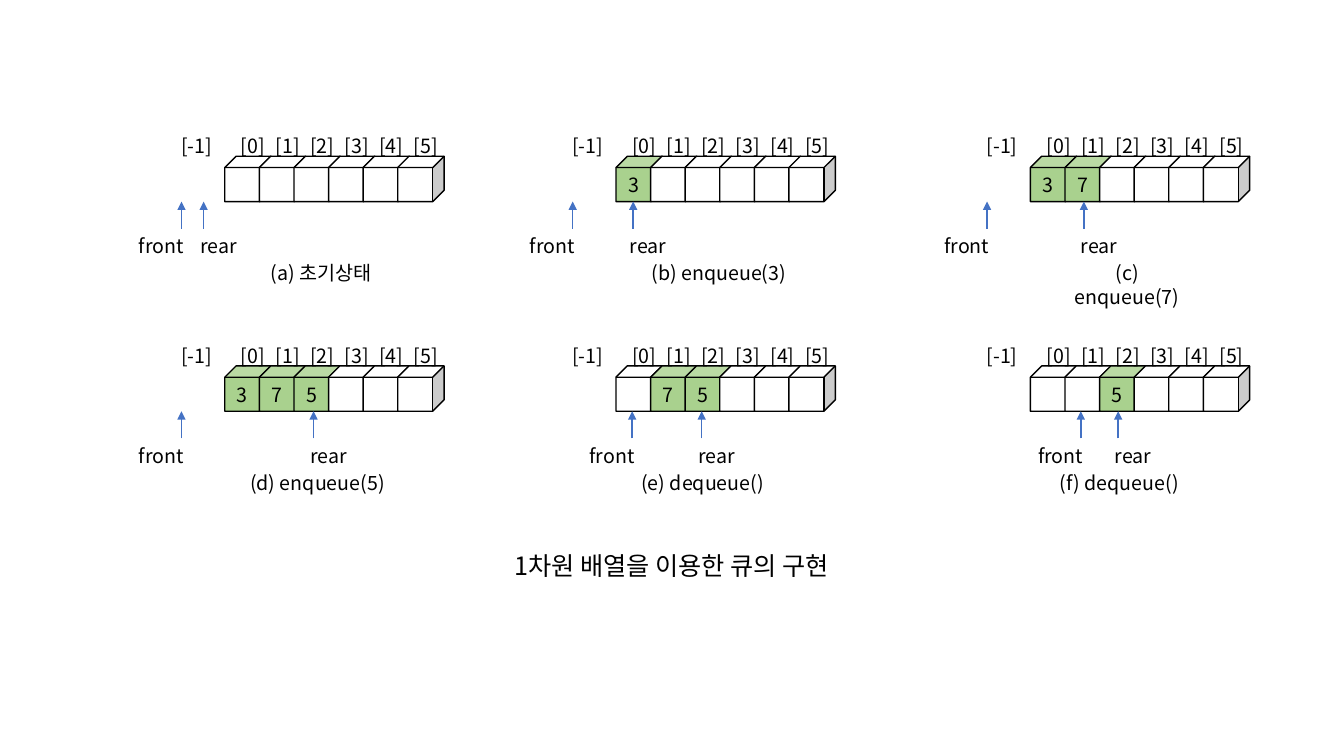
from lxml.etree import SubElement
from pptx import Presentation
from pptx.dml.color import RGBColor
from pptx.enum.shapes import MSO_CONNECTOR, MSO_SHAPE
from pptx.enum.text import MSO_ANCHOR, PP_ALIGN
from pptx.oxml.ns import qn
from pptx.util import Inches, Pt

FONT = "Noto Sans CJK KR"
COLORS = {"ink": "000000", "empty": "FFFFFF", "filled": "A9D18E", "arrow": "4472C4"}
CELLS = 6
STEP = 0.343    # distance between neighbouring cells
INDEX_W = 0.56
ROW_H = 0.34
LABEL_W = 1.26


def color(name):
    """Return the named colour."""
    return RGBColor.from_string(COLORS[name])


def write(tf, text, size=14, fill="ink", anchor=MSO_ANCHOR.TOP):
    """Write one centred line of text into a text frame."""
    tf.word_wrap = True
    tf.vertical_anchor = anchor
    p = tf.paragraphs[0]
    p.alignment = PP_ALIGN.CENTER
    r = p.add_run()
    r.text = text
    r.font.size = Pt(size)
    r.font.name = FONT
    r.font.color.rgb = color(fill)
    SubElement(r.font._element, qn("a:ea")).set("typeface", FONT)


def add_label(slide, text, center, top, width, height=ROW_H, **fmt):
    """Add a text box centred on a horizontal position."""
    box = slide.shapes.add_textbox(Inches(center - width / 2), Inches(top),
                                   Inches(width), Inches(height))
    write(box.text_frame, text, **fmt)


def add_cell(slide, left, top, value):
    """Add one cube of the array, green when it holds a value."""
    sp = slide.shapes.add_shape(MSO_SHAPE.CUBE, Inches(left), Inches(top),
                                Inches(0.46), Inches(0.45))
    sp.shadow.inherit = False
    sp.fill.solid()
    sp.fill.fore_color.rgb = color("filled" if value else "empty")
    sp.line.color.rgb = color("ink")
    sp.line.width = Pt(1)
    if value:
        write(sp.text_frame, value, anchor=MSO_ANCHOR.MIDDLE)


def add_pointer(slide, name, x, top, label_shift):
    """Add an upward arrow with its name below."""
    bottom = top + 0.27
    line = slide.shapes.add_connector(MSO_CONNECTOR.STRAIGHT, Inches(x), Inches(bottom),
                                      Inches(x), Inches(top))
    line.line.color.rgb = color("arrow")
    line.line.width = Pt(1)
    SubElement(line.line._get_or_add_ln(), qn("a:tailEnd")).set("type", "triangle")
    SubElement(line._element.spPr, qn("a:effectLst"))
    add_label(slide, name, x + label_shift, bottom, LABEL_W)


def add_queue(slide, left, top, values, front, rear, caption, caption_x, caption_w):
    """Draw one queue state; left and top are the corner of its first cell."""
    for i in range(CELLS):
        add_cell(slide, left + i * STEP, top, values.get(i))
    index_top = top - 0.27
    add_label(slide, "[-1]", left - INDEX_W / 2, index_top, INDEX_W)
    for i in range(CELLS):
        add_label(slide, f"[{i}]", left + i * STEP + INDEX_W / 2, index_top, INDEX_W)
    add_pointer(slide, "front", left + front, top + 0.45, -0.2)
    add_pointer(slide, "rear", left + rear, top + 0.45, 0.15)
    add_label(slide, caption, left + caption_x, top + 0.99, caption_w)


COLUMNS = [2.23, 6.11, 10.22]
ROWS = [1.55, 3.63]
# values by index, front and rear arrow offsets, caption, its centre offset and width
STATES = [
    ({}, -0.43, -0.21, "(a) 초기상태", 0.96, 1.26),
    ({0: "3"}, -0.43, 0.17, "(b) enqueue(3)", 1.02, 1.82),
    ({0: "3", 1: "7"}, -0.43, 0.53, "(c) enqueue(7)", 0.96, 1.51),
    ({0: "3", 1: "7", 2: "5"}, -0.43, 0.88, "(d) enqueue(5)", 0.92, 1.83),
    ({1: "7", 2: "5"}, 0.16, 0.85, "(e) dequeue()", 0.86, 1.73),
    ({2: "5"}, 0.5, 0.87, "(f) dequeue()", 0.88, 1.65),
]

prs = Presentation()
prs.slide_width, prs.slide_height = Inches(13.33), Inches(7.5)
slide = prs.slides.add_slide(prs.slide_layouts[6])
for n, state in enumerate(STATES):
    row, col = divmod(n, len(COLUMNS))
    add_queue(slide, COLUMNS[col], ROWS[row], *state)
add_label(slide, "1차원 배열을 이용한 큐의 구현", 6.66, 5.41, 4.31, height=0.4, size=18)
prs.save("out.pptx")
